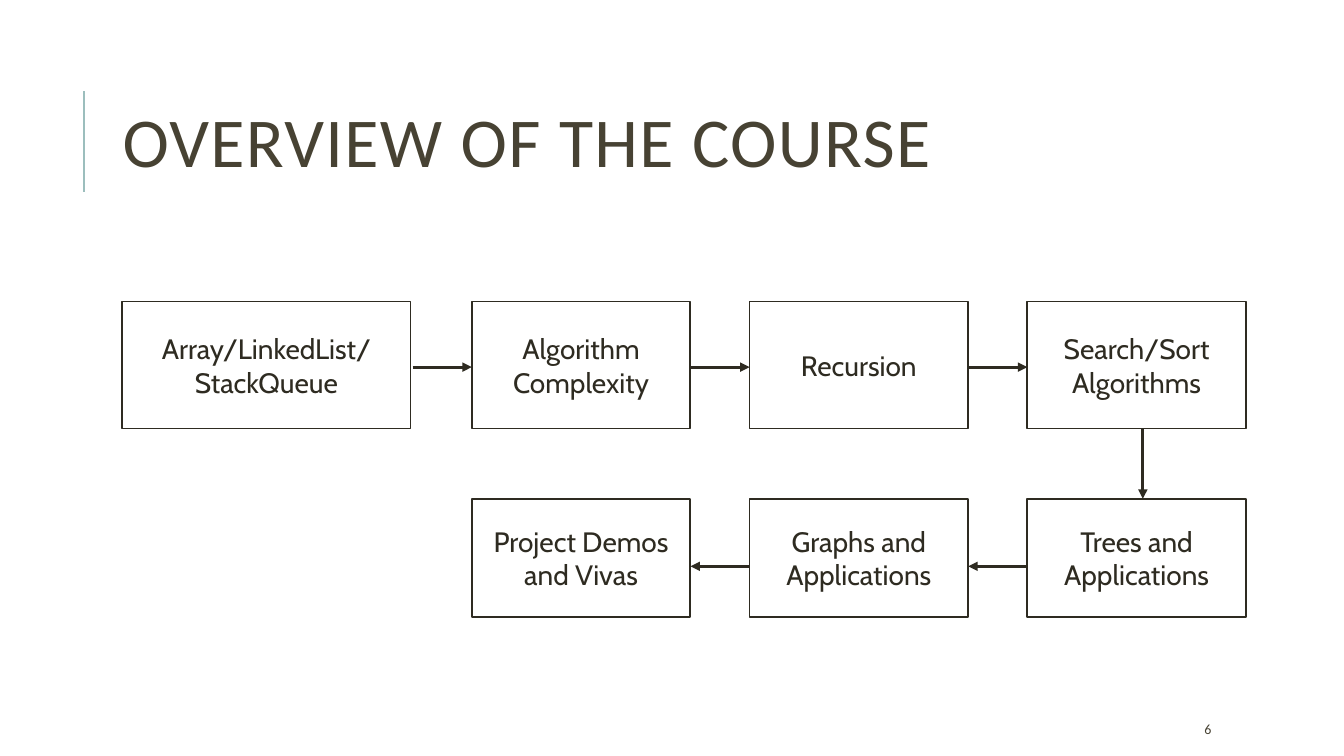
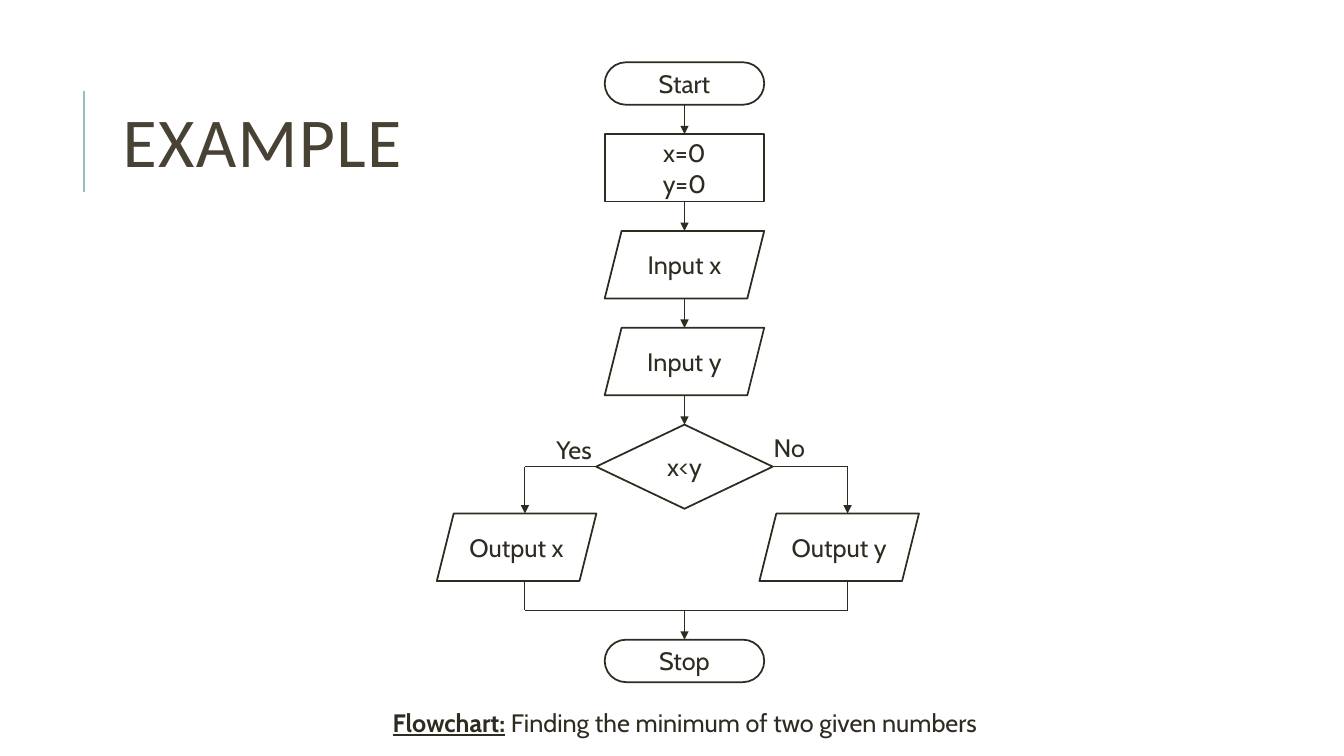
from dataclasses import dataclass

from lxml import etree
from pptx import Presentation
from pptx.dml.color import RGBColor
from pptx.enum.shapes import MSO_CONNECTOR, MSO_SHAPE
from pptx.enum.text import MSO_ANCHOR, PP_ALIGN
from pptx.oxml.ns import qn
from pptx.util import Cm, Pt

RECT, ROUND = MSO_SHAPE.RECTANGLE, MSO_SHAPE.ROUNDED_RECTANGLE
SLANTED, DIAMOND = MSO_SHAPE.PARALLELOGRAM, MSO_SHAPE.DIAMOND
STRAIGHT = MSO_CONNECTOR.STRAIGHT
LEFT, CENTER = PP_ALIGN.LEFT, PP_ALIGN.CENTER
TOP, MIDDLE = MSO_ANCHOR.TOP, MSO_ANCHOR.MIDDLE


@dataclass(frozen=True)
class Theme:
    ink: RGBColor = RGBColor(0x2E, 0x2B, 0x21)
    heading: RGBColor = RGBColor(0x47, 0x42, 0x33)
    accent: RGBColor = RGBColor(0x9C, 0xBE, 0xBD)
    paper: RGBColor = RGBColor(0xFF, 0xFF, 0xFF)
    heading_font: str = "Calibri"
    body_font: str = "Cabin"
    title_size: int = 50
    topic_size: int = 20
    flow_size: int = 18
    number_size: int = 10
    outline: float = 1.25
    rule: float = 1.5
    topic_arrow: float = 2.25
    flow_arrow: float = 0.75


theme = Theme()


def add_box(page, kind, bounds, text, size, align=CENTER, anchor=MIDDLE,
            font=theme.body_font, color=theme.ink):
    """Add an outlined shape, or a plain text box when kind is None."""
    lengths = [Cm(value) for value in bounds]
    if kind is None:
        box = page.shapes.add_textbox(*lengths)
    else:
        box = page.shapes.add_shape(kind, *lengths)
        box.shadow.inherit = False
        box.fill.solid()
        box.fill.fore_color.rgb = theme.paper
        box.line.color.rgb = theme.ink
        box.line.width = Pt(theme.outline)
        if kind == ROUND:
            box.adjustments[0] = 0.5
    frame = box.text_frame
    frame.word_wrap = True
    frame.vertical_anchor = anchor
    for index, line in enumerate(text.split("\n")):
        para = frame.add_paragraph() if index else frame.paragraphs[0]
        para.alignment = align
        span = para.add_run()
        span.text = line
        span.font.name = font
        span.font.size = Pt(size)
        span.font.color.rgb = color
    return box


def add_line(page, start, end, width, color=theme.ink, arrow=False):
    """Add a straight line, with an arrowhead at its end if asked."""
    line = page.shapes.add_connector(
        STRAIGHT, *[Cm(value) for value in (*start, *end)])
    line.line.color.rgb = color
    line.line.width = Pt(width)
    if arrow:
        etree.SubElement(line.line._get_or_add_ln(), qn("a:tailEnd"), type="triangle")
    etree.SubElement(line._element.spPr, qn("a:effectLst"))


deck = Presentation()
deck.slide_width, deck.slide_height = Cm(33.87), Cm(19.05)

# Shared title and accent rule
pages = []
for heading in ("OVERVIEW OF THE COURSE", "EXAMPLE"):
    page = deck.slides.add_slide(deck.slide_layouts[6])
    add_line(page, (2.12, 4.83), (2.12, 2.29), theme.rule, theme.accent)
    title = add_box(page, None, (2.84, 1.63, 27, 4.17), heading, theme.title_size,
                    LEFT, font=theme.heading_font, color=theme.heading)
    para = title.text_frame.paragraphs[0]
    para.line_spacing = 0.8
    para.runs[0].font._element.set("spc", "100")
    pages.append(page)
overview, example = pages

# Overview: page number
add_box(overview, None, (30.1, 17.98, 2.69, 0.76), "6", theme.number_size, LEFT,
        font=theme.heading_font, color=theme.heading)

# Overview: topics in two rows, the first one wider
topic_width, topic_gap = 5.51, 1.49
columns = [11.89 + index * (topic_width + topic_gap) for index in range(3)]
upper_top, upper_height = 7.6, 3.2
lower_top, lower_height = 12.57, 2.98
add_box(overview, RECT, (3.08, upper_top, 7.27, upper_height),
        "Array/LinkedList/StackQueue", theme.topic_size)
rows = [
    (upper_top, upper_height,
     ("Algorithm Complexity", "Recursion", "Search/Sort Algorithms")),
    (lower_top, lower_height,
     ("Project Demos and Vivas", "Graphs and Applications", "Trees and Applications")),
]
for top, height, topics in rows:
    for left, topic in zip(columns, topics):
        add_box(overview, RECT, (left, top, topic_width, height), topic,
                theme.topic_size)

# Overview: arrows to the right, down, and back to the left
upper_middle, lower_middle = upper_top + 1.65, lower_top + 1.7
for left in columns:
    add_line(overview, (left - topic_gap, upper_middle), (left, upper_middle),
             theme.topic_arrow, arrow=True)
for left in columns[1:]:
    add_line(overview, (left, lower_middle), (left - topic_gap, lower_middle),
             theme.topic_arrow, arrow=True)
add_line(overview, (28.8, upper_top + upper_height), (28.8, lower_top),
         theme.topic_arrow, arrow=True)

# Example: main column of steps, each followed by an arrow
axis, step_width, step_height, step_gap = 17.25, 4.02, 1.7, 0.74
cap_height, choice_width, choice_height = 1.07, 4.45, 2.12
steps = [
    (ROUND, "Start", cap_height),
    (RECT, "x=0\ny=0", step_height),
    (SLANTED, "Input x", step_height),
    (SLANTED, "Input y", step_height),
]
top = 1.57
for kind, label, height in steps:
    add_box(example, kind, (axis - step_width / 2, top, step_width, height), label,
            theme.flow_size)
    bottom = top + height
    top = bottom + step_gap
    add_line(example, (axis, bottom), (axis, top), theme.flow_arrow, arrow=True)

# Example: decision with two branches that meet again
add_box(example, DIAMOND, (axis - choice_width / 2, top, choice_width, choice_height),
        "x<y", theme.flow_size)
branch_y, output_top = top + choice_height / 2, 12.94
output_bottom = output_top + step_height
merge_y = output_bottom + step_gap
branches = [
    (13.23, -1, "Output x", "Yes", (13.77, 10.82)),
    (21.36, 1, "Output y", "No", (19.25, 10.77)),
]
for branch_x, side, output, answer, answer_at in branches:
    add_box(example, SLANTED, (branch_x - 2.22, output_top, step_width, step_height),
            output, theme.flow_size)
    add_line(example, (axis + side * choice_width / 2, branch_y), (branch_x, branch_y),
             theme.flow_arrow)
    add_line(example, (branch_x, branch_y), (branch_x, output_top),
             theme.flow_arrow, arrow=True)
    add_line(example, (branch_x, output_bottom), (branch_x, merge_y), theme.flow_arrow)
    add_box(example, None, (*answer_at, 1.48, 1.02), answer, theme.flow_size, LEFT, TOP)
add_line(example, (branches[0][0], merge_y), (branches[1][0], merge_y),
         theme.flow_arrow)
stop_top = merge_y + step_gap
add_line(example, (axis, merge_y), (axis, stop_top), theme.flow_arrow, arrow=True)
add_box(example, ROUND, (axis - step_width / 2, stop_top, step_width, cap_height),
        "Stop", theme.flow_size)

# Example: caption with an underlined lead
caption = add_box(example, None, (8.08, 17.7, 18.36, 1.02), "Flowchart:",
                  theme.flow_size, anchor=TOP)
para = caption.text_frame.paragraphs[0]
lead = para.runs[0]
lead.font.bold = lead.font.underline = True
span = para.add_run()
span.text = " Finding the minimum of two given numbers"
span.font.name = theme.body_font
span.font.size = Pt(theme.flow_size)
span.font.color.rgb = theme.ink

deck.save("out.pptx")
